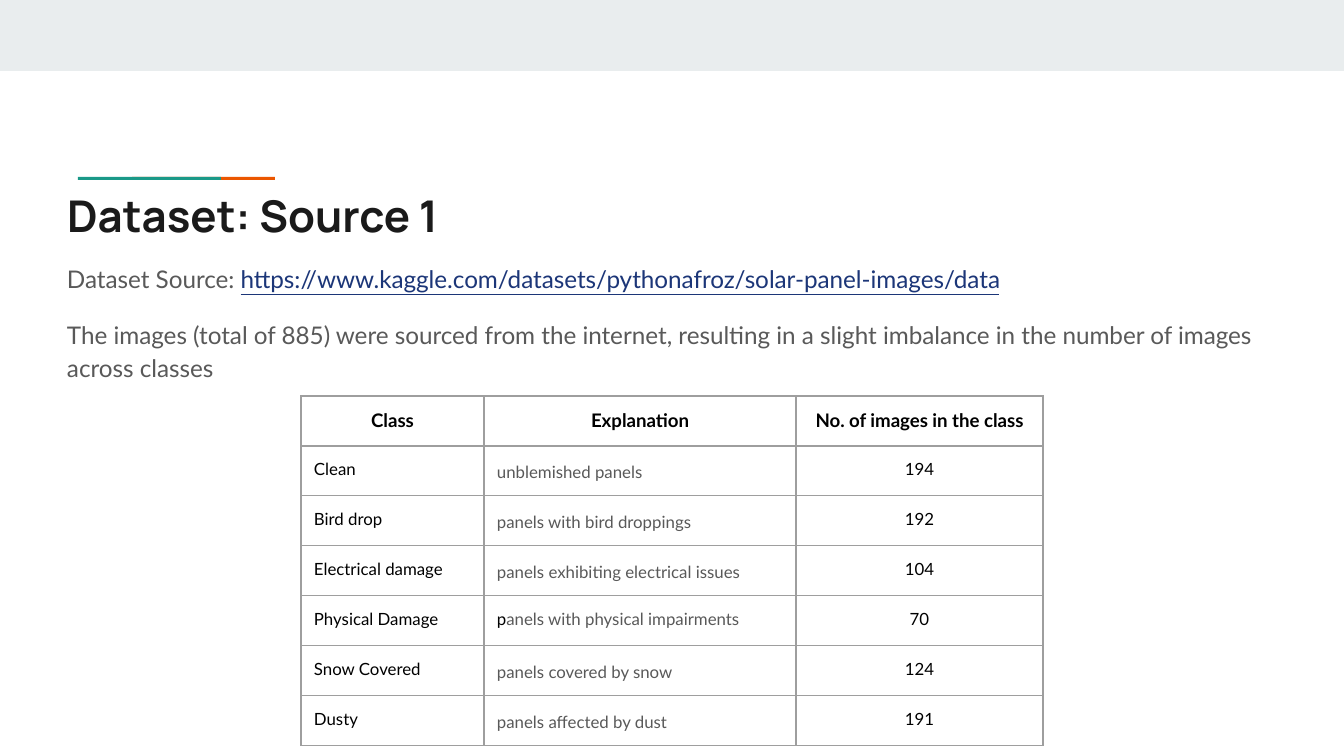
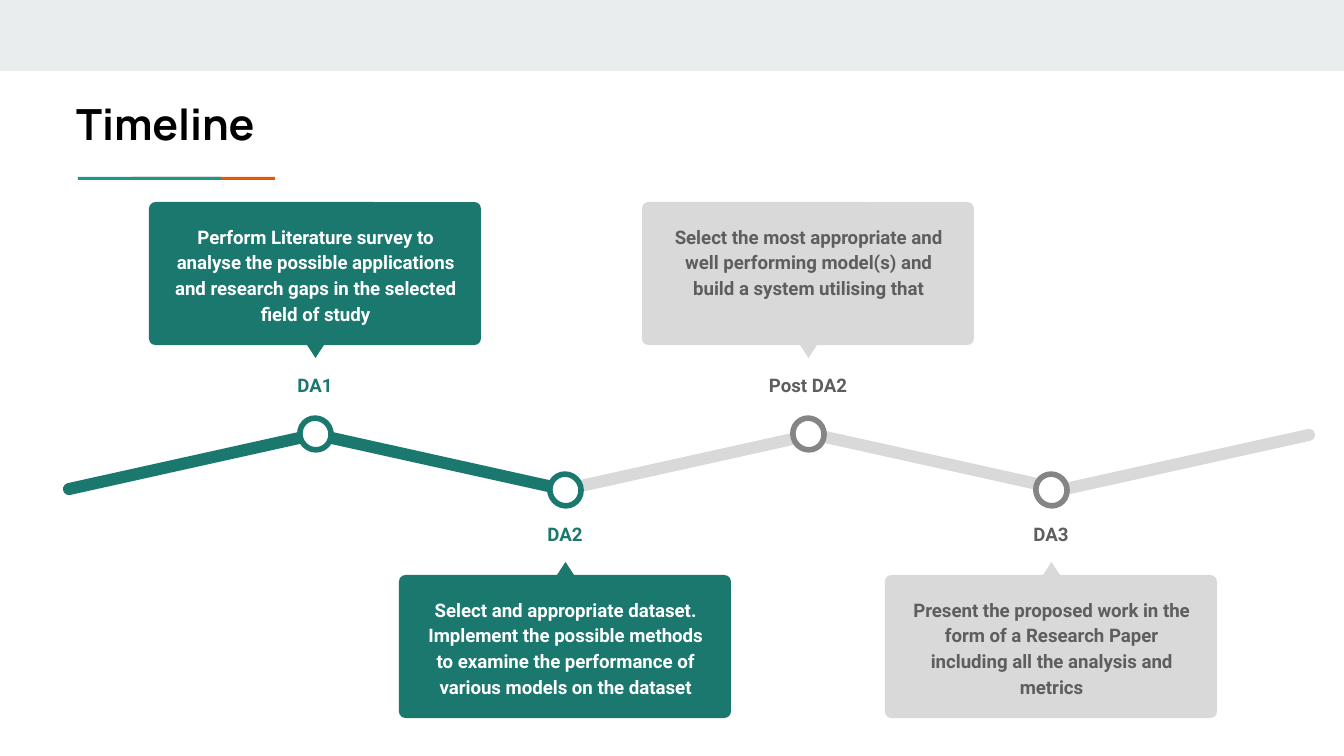
import pptx
import pptx.dml.color
import pptx.enum.shapes
import pptx.enum.text
import pptx.oxml
import pptx.oxml.ns
import pptx.util

RGB = pptx.dml.color.RGBColor
SHAPE = pptx.enum.shapes.MSO_SHAPE
ALIGN = pptx.enum.text.PP_ALIGN

WHITE = RGB(0xFF, 0xFF, 0xFF)
BLACK = RGB(0x00, 0x00, 0x00)
INK = RGB(0x1A, 0x1A, 0x1A)
BODY = RGB(0x59, 0x59, 0x59)
URL = RGB(0x1C, 0x36, 0x78)
BAND = RGB(0xE9, 0xED, 0xEE)
ORANGE = RGB(0xEB, 0x56, 0x00)
GREEN = RGB(0x1A, 0x99, 0x88)
TEAL = RGB(0x1B, 0x78, 0x6F)
PALE = RGB(0xD9, 0xD9, 0xD9)
RING = RGB(0x85, 0x85, 0x85)
SLATE = RGB(0x5E, 0x5E, 0x5E)
BORDER = RGB(0x9E, 0x9E, 0x9E)

WIDTH, HEIGHT = 1344, 756
INSET = 13

CLASSES = [
    ("Clean", "unblemished panels", "194"),
    ("Bird drop", "panels with bird droppings", "192"),
    ("Electrical damage", "panels exhibiting electrical issues", "104"),
    ("Physical Damage", [("p", BLACK), ("anels with physical impairments", BODY)], "70"),
    ("Snow Covered", "panels covered by snow", "124"),
    ("Dusty", "panels affected by dust", "191"),
]

# label, centre x, above the line, done, text
MILESTONES = [
    ("DA1", 315, True, True,
     "Perform Literature survey to analyse the possible applications "
     "and research gaps in the selected field of study"),
    ("DA2", 565, False, True,
     "Select and appropriate dataset. Implement the possible methods to "
     "examine the performance of various models on the dataset"),
    ("Post DA2", 808, True, False,
     "Select the most appropriate and well performing model(s) and "
     "build a system utilising that"),
    ("DA3", 1051, False, False,
     "Present the proposed work in the form of a Research Paper "
     "including all the analysis and metrics"),
]


def px(n):
    return round(n * 914400 / 134.4)


class Deck:
    def __init__(self):
        self.prs = pptx.Presentation()
        self.prs.slide_width = px(WIDTH)
        self.prs.slide_height = px(HEIGHT)
        self.slide = None

    def add_slide(self, title, left, top, size, color):
        """Start a slide with the top band, the accent rule and a title."""
        self.slide = self.prs.slides.add_slide(self.prs.slide_layouts[5])
        self.shape(SHAPE.RECTANGLE, 0, 0, WIDTH, 71, BAND)
        self.shape(SHAPE.RECTANGLE, 132, 177, 143, 3, ORANGE)
        self.shape(SHAPE.RECTANGLE, 78, 177, 143, 3, GREEN)
        sp = self.slide.shapes.title
        sp.left, sp.top, sp.width, sp.height = map(px, (left, top, 1130, 79))
        tf = self.frame(sp)
        self.set_text(tf.paragraphs[0], title, size, color, "Manrope", bold=True)

    def frame(self, sp):
        tf = sp.text_frame
        tf.word_wrap = True
        tf.auto_size = pptx.enum.text.MSO_AUTO_SIZE.NONE
        tf.vertical_anchor = pptx.enum.text.MSO_ANCHOR.TOP
        tf.margin_left = tf.margin_right = px(INSET)
        tf.margin_top = tf.margin_bottom = px(INSET)
        return tf

    def set_text(self, p, text, size, color, font, bold=False, align=ALIGN.LEFT, spacing=1.0):
        """Fill a paragraph with a string or with (string, colour) runs."""
        p.alignment = align
        p.line_spacing = spacing
        p.font.name = font
        p.font.size = pptx.util.Pt(size)
        p.font.bold = bold
        p.font.color.rgb = color
        if isinstance(text, str):
            p.add_run().text = text
            return
        for part, run_color in text:
            r = p.add_run()
            r.text = part
            r.font.color.rgb = run_color
            r.font.underline = run_color == URL

    def shape(self, kind, left, top, width, height, fill, rotation=0, adj=None, line=None):
        sp = self.slide.shapes.add_shape(kind, px(left), px(top), px(width), px(height))
        sp.shadow.inherit = False
        sp.rotation = rotation
        if adj is not None:
            sp.adjustments[0] = adj
        sp.fill.solid()
        sp.fill.fore_color.rgb = fill
        if line is None:
            sp.line.fill.background()
        else:
            sp.line.color.rgb = line
            sp.line.width = pptx.util.Pt(3)

    def textbox(self, left, top, width, height, paragraphs, size, color, font, **style):
        sp = self.slide.shapes.add_textbox(px(left), px(top), px(width), px(height))
        tf = self.frame(sp)
        for i, text in enumerate(paragraphs):
            p = tf.add_paragraph() if i else tf.paragraphs[0]
            if i:
                p.space_before = pptx.util.Pt(12)
            self.set_text(p, text, size, color, font, spacing=1.15, **style)

    def table(self, left, top, widths, row_height, rows):
        """Draw a bordered table; each cell is (text, set_text options)."""
        frame = self.slide.shapes.add_table(
            len(rows), len(widths), px(left), px(top),
            px(sum(widths)), px(row_height * len(rows)))
        tbl = frame.table
        tbl.first_row = tbl.horz_banding = False
        for column, width in zip(tbl.columns, widths):
            column.width = px(width)
        for i, row in enumerate(rows):
            tbl.rows[i].height = px(row_height)
            for j, (text, style) in enumerate(row):
                cell = tbl.cell(i, j)
                cell.margin_left = cell.margin_right = px(INSET)
                cell.margin_top = cell.margin_bottom = px(INSET)
                self.border(cell)
                cell.fill.background()
                self.set_text(cell.text_frame.paragraphs[0], text, font="Lato", **style)

    def border(self, cell):
        props = cell._tc.get_or_add_tcPr()
        for side in "LRTB":
            props.append(pptx.oxml.parse_xml(
                f'<a:ln{side} {pptx.oxml.ns.nsdecls("a")} w="9525"><a:solidFill>'
                f'<a:srgbClr val="{BORDER}"/></a:solidFill></a:ln{side}>'))

    def milestone(self, label, x, above, done, text):
        """Draw a ring on the line with its label, card and pointer."""
        fill, ring, label_color, text_color = (
            (TEAL, TEAL, TEAL, WHITE) if done else (PALE, RING, SLATE, SLATE))
        card_top, pointer_top, label_top, ring_top = (
            (202, 345, 358, 418) if above else (575, 562, 507, 474))
        style = dict(size=10, font="Roboto", bold=True, align=ALIGN.CENTER)
        self.shape(SHAPE.OVAL, x - 15, ring_top, 31, 32, WHITE, 330, line=ring)
        self.textbox(x - 67, label_top, 134, 56, [label], color=label_color, **style)
        self.shape(SHAPE.ROUNDED_RECTANGLE, x - 166, card_top, 332, 143, fill, adj=0.045)
        self.shape(SHAPE.ISOSCELES_TRIANGLE, x - 8, pointer_top, 17, 13, fill,
                   180 if above else 0)
        self.textbox(x - 157, card_top + 7, 315, 128, [text], color=text_color, **style)


def dataset_slide(deck):
    deck.add_slide("Dataset: Source 1", 54, 176, 23.4, INK)
    deck.textbox(54, 247, 1282, 332, [
        [("Dataset Source: ", BODY),
         ("https://www.kaggle.com/datasets/pythonafroz/solar-panel-images/data", URL)],
        "The images (total of 885) were sourced from the internet, resulting in a "
        "slight imbalance in the number of images across classes",
    ], 13, BODY, "Lato")
    head = dict(size=10, color=BLACK, bold=True, align=ALIGN.CENTER)
    name = dict(size=9, color=BLACK)
    count = dict(name, align=ALIGN.CENTER)
    rows = [[(text, head) for text in ("Class", "Explanation", "No. of images in the class")]]
    for label, explanation, images in CLASSES:
        spacing = 1.15 if isinstance(explanation, str) else 1.0
        detail = dict(size=9, color=BODY, spacing=spacing)
        rows.append([(label, name), (explanation, detail), (images, count)])
    deck.table(301, 396, (183, 312, 247), 50, rows)


def timeline_slide(deck):
    deck.add_slide("Timeline", 63, 85, 23, BLACK)
    for i in range(5):
        deck.shape(SHAPE.ROUNDED_RECTANGLE, 60 + 249 * i, 456, 262, 12,
                   TEAL if i < 2 else PALE, 12.5 if i % 2 else 347.5, adj=0.5)
    for milestone in MILESTONES:
        deck.milestone(*milestone)


def main():
    deck = Deck()
    dataset_slide(deck)
    timeline_slide(deck)
    deck.prs.save("out.pptx")


if __name__ == "__main__":
    main()
